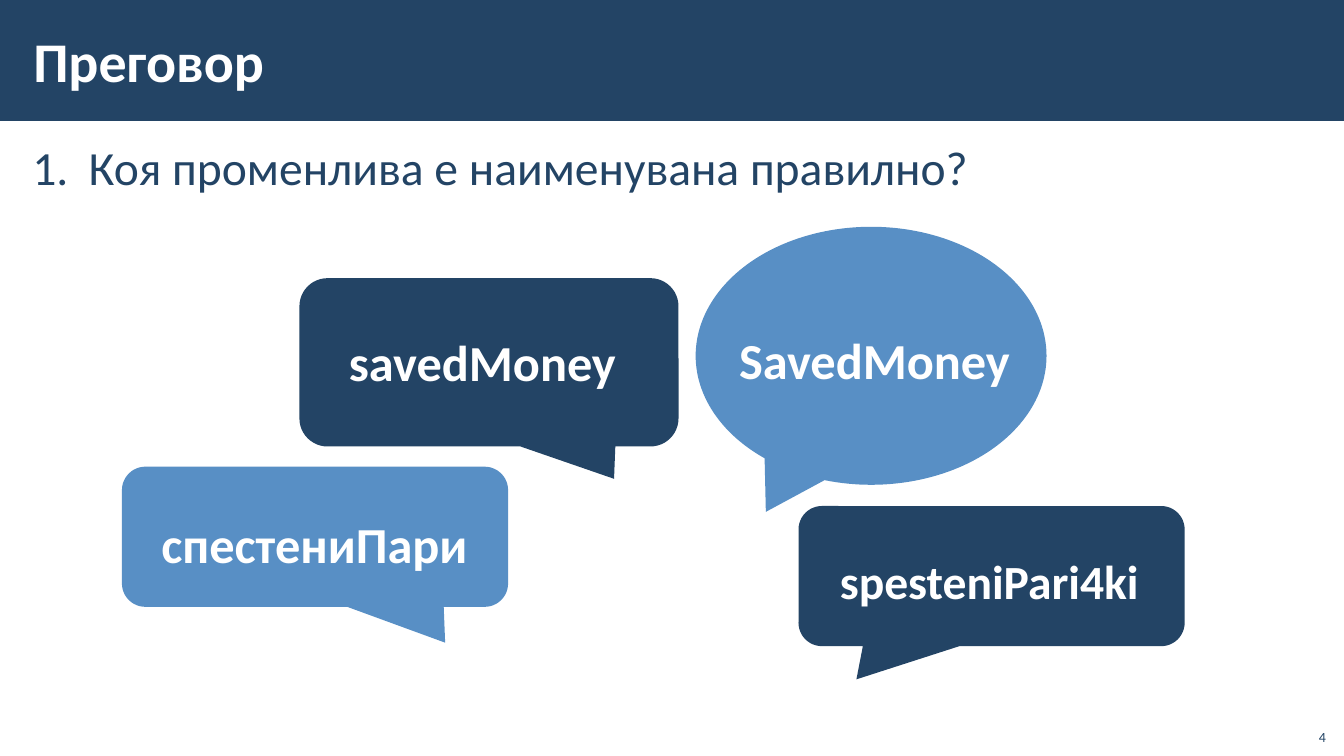
from lxml.etree import SubElement
from pptx import Presentation
from pptx.dml.color import RGBColor
from pptx.enum.shapes import MSO_SHAPE as Shape
from pptx.enum.text import MSO_ANCHOR as Anchor, MSO_AUTO_SIZE as AutoSize, PP_ALIGN as Align
from pptx.oxml.ns import qn
from pptx.util import Inches, Pt

WIDTH, HEIGHT = 13.33, 7.5
COLORS = {"navy": "234465", "sky": "588FC5", "white": "FFFFFF"}
FONT = "Calibri"
ROUND, OVAL = Shape.ROUNDED_RECTANGULAR_CALLOUT, Shape.OVAL_CALLOUT

# bubble: preset, box, tail adjustments, colour; label: text, box, format
CALLOUTS = [
    (OVAL, (6.9, 2.25, 3.48, 2.56), (-0.3, 0.605), "sky",
     "SavedMoney", (6.67, 3.15, 3.72, 0.84), {"indent": 0.5}),
    (ROUND, (1.21, 4.63, 3.83, 1.39), (0.337, 0.756, 0.167), "sky",
     "спестениПари", (1.08, 4.91, 4.08, 0.87), {"align": Align.CENTER, "spacing": 1.1}),
    (ROUND, (7.92, 5.02, 3.83, 1.39), (-0.35, 0.737, 0.167), "navy",
     "spesteniPari4ki", (8.17, 5.3, 3.44, 0.84), {"size": 34, "spacing": 1.1}),
    (ROUND, (2.97, 2.76, 3.76, 1.67), (0.33, 0.692, 0.167), "navy",
     "savedMoney", (3, 3.11, 3.57, 0.87), {"align": Align.CENTER, "spacing": 1.1}),
]


def rgb(name):
    return RGBColor.from_string(COLORS[name])


def inches(box):
    return [Inches(length) for length in box]


def write(shape, text, size=36, color="white", bold=True, align=Align.LEFT,
          spacing=1.0, anchor=Anchor.TOP, inset=(0.16, 0.12), indent=0, hanging=0):
    """Fill a shape with one formatted paragraph and return it."""
    frame = shape.text_frame
    side, edge = inches(inset)
    frame_format = {"word_wrap": True, "auto_size": AutoSize.NONE, "vertical_anchor": anchor,
                    "margin_left": side, "margin_right": side,
                    "margin_top": edge, "margin_bottom": edge}
    for name, value in frame_format.items():
        setattr(frame, name, value)
    para = frame.paragraphs[0]
    para.alignment, para.line_spacing = align, spacing
    properties = para._p.get_or_add_pPr()
    properties.set("marL", str(Inches(indent)))
    properties.set("indent", str(Inches(-hanging)))
    span = para.add_run()
    span.text = text
    for name, value in {"name": FONT, "size": Pt(size), "bold": bold}.items():
        setattr(span.font, name, value)
    span.font.color.rgb = rgb(color)
    return para


def add_filled(shapes, preset, box, color):
    shape = shapes.add_shape(preset, *inches(box))
    shape.shadow.inherit = False
    shape.fill.solid()
    shape.fill.fore_color.rgb = rgb(color)
    shape.line.fill.background()
    return shape


def add_header(page, text, box):
    left, top, width, height = box
    band = add_filled(page.shapes, Shape.RECTANGLE, box, "navy")
    title = page.shapes.title
    title.element.addprevious(band.element)
    place = inches((left + 0.21, top + 0.11, width * 0.8, height - 0.23))
    for name, value in zip(("left", "top", "width", "height"), place):
        setattr(title, name, value)
    write(title, text, size=40, anchor=Anchor.MIDDLE, inset=(0.12, 0.04))


def add_question(page, text, box):
    shape = page.shapes.add_textbox(*inches(box))
    para = write(shape, text, size=34, color="navy", bold=False, spacing=1.05,
                 inset=(0.12, 0.04), indent=0.56, hanging=0.56)
    para.space_before = para.space_after = Pt(6)
    properties = para._p.get_or_add_pPr()
    SubElement(properties, qn("a:buFont"), typeface="+mj-lt")
    SubElement(properties, qn("a:buAutoNum"), type="arabicPeriod")


def add_callout(page, preset, box, tail, color, text, text_box, text_format):
    group = page.shapes.add_group_shape()
    bubble = add_filled(group.shapes, preset, box, color)
    for index, value in enumerate(tail):
        bubble.adjustments[index] = value
    write(group.shapes.add_textbox(*inches(text_box)), text, **text_format)


def add_page_number(page, text, box):
    write(page.shapes.add_textbox(*inches(box)), text, size=10, color="navy", bold=False,
          align=Align.RIGHT, anchor=Anchor.BOTTOM, inset=(0.1, 0.05))


def main():
    deck = Presentation()
    deck.slide_width, deck.slide_height = inches((WIDTH, HEIGHT))
    page = deck.slides.add_slide(deck.slide_layouts.get_by_name("Title Only"))
    add_header(page, "Преговор", (0, 0, WIDTH, HEIGHT * 0.16))
    add_question(page, "Коя променлива е наименувана правилно?", (0.2, 1.3, 12.91, 5.67))
    for callout in CALLOUTS:
        add_callout(page, *callout)
    add_page_number(page, "4", (12.85, 7.12, 0.4, 0.32))
    deck.save("out.pptx")


if __name__ == "__main__":
    main()
